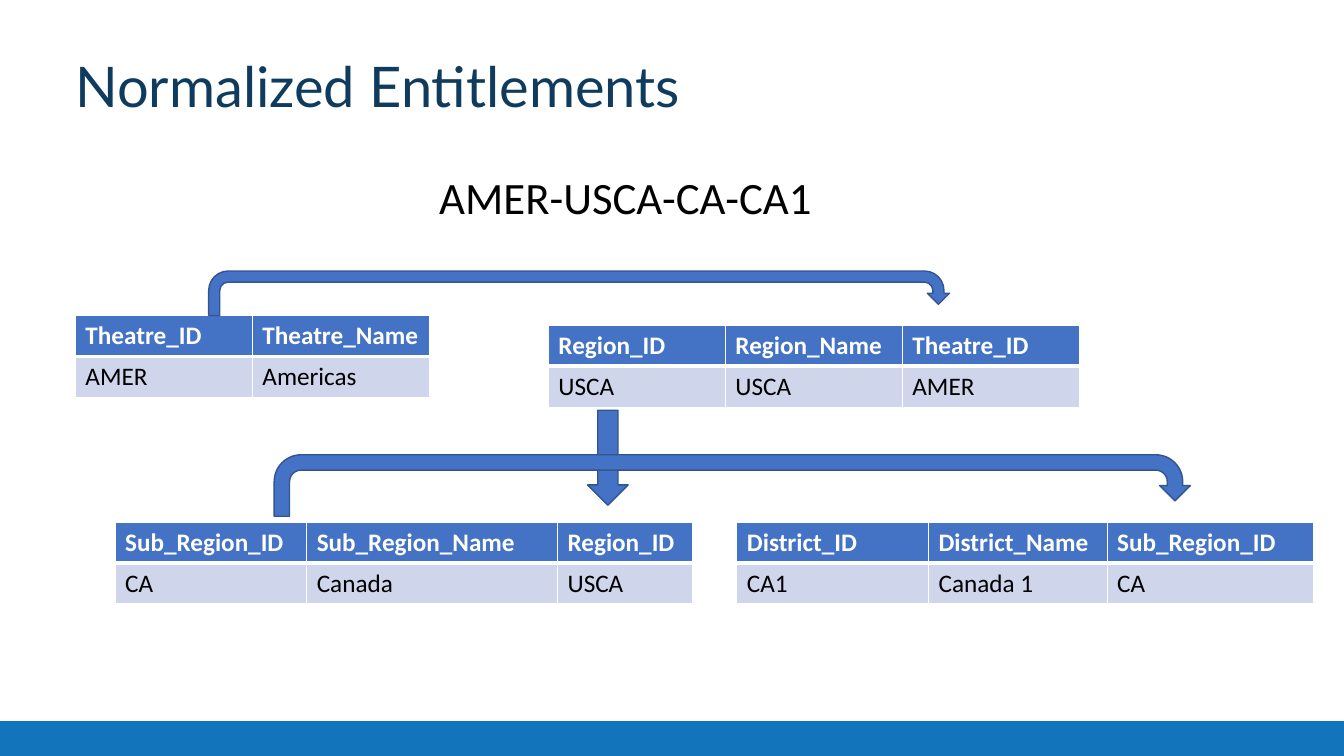
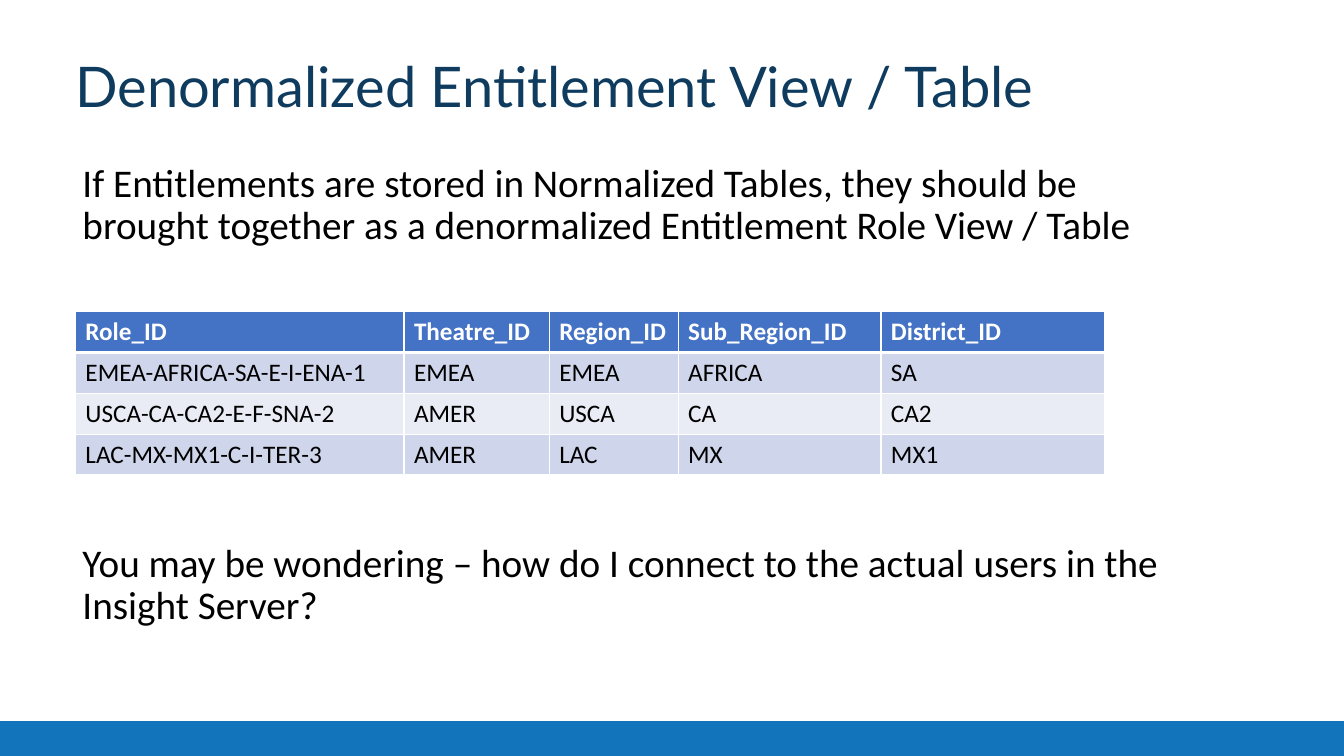
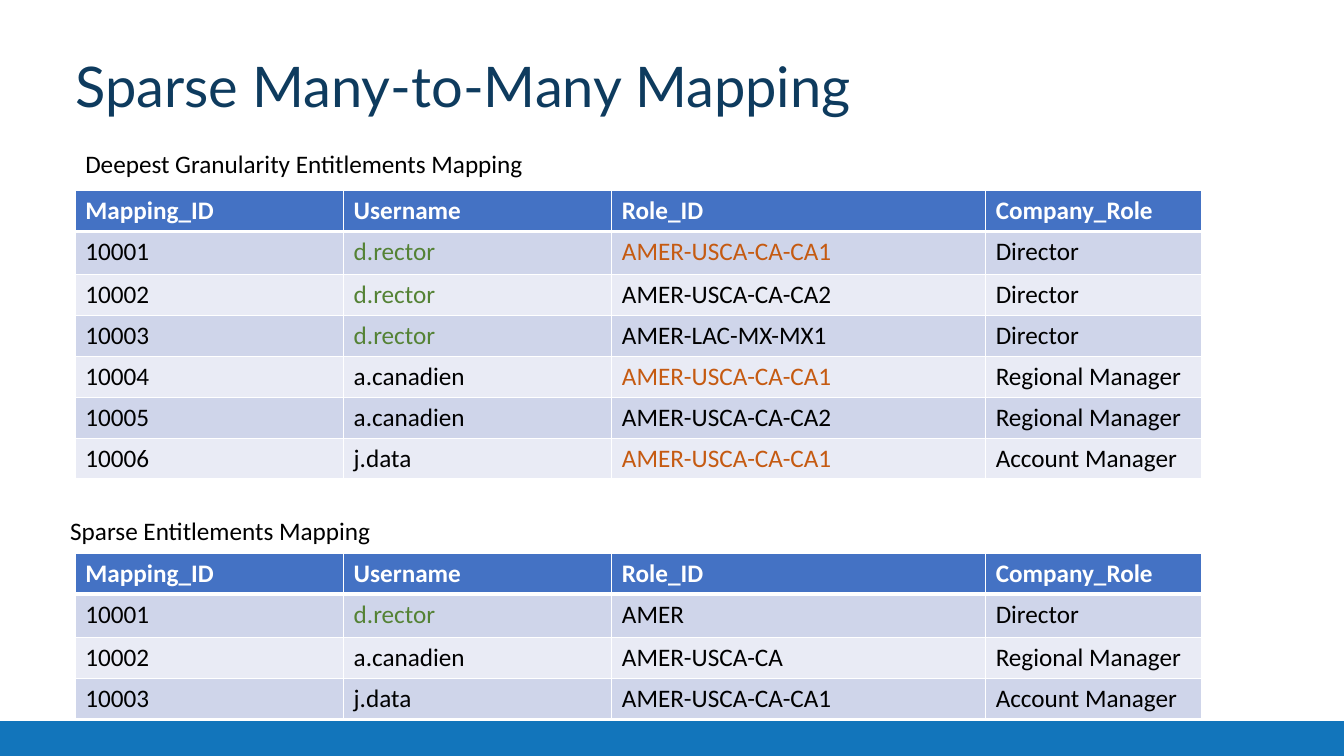
from lxml import etree
from pptx import Presentation
from pptx.dml.color import RGBColor
from pptx.enum.shapes import MSO_SHAPE
from pptx.enum.text import MSO_ANCHOR, MSO_AUTO_SIZE, PP_ALIGN
from pptx.oxml.ns import qn
from pptx.util import Cm, Pt

RECT = MSO_SHAPE.RECTANGLE
UTURN = MSO_SHAPE.U_TURN_ARROW
DOWN = MSO_SHAPE.DOWN_ARROW
TOP = MSO_ANCHOR.TOP
LEFT = PP_ALIGN.LEFT
NO_FIT = MSO_AUTO_SIZE.NONE

WIDTH, HEIGHT = 33.87, 19.05
BAND_HEIGHT = 0.88
MARGIN = 1.9
ROW_HEIGHT = 1.03
FIRST_ROW_HEIGHT = 1.09
COLUMN = 4.46

WHITE, BLACK = "FFFFFF", "000000"
NAVY, BAND_BLUE = "0E3B5E", "1275BB"
BLUE, BLUE_EDGE = "4472C4", "325491"
STRIPES = ("E9EBF5", "CFD5EA")
GREEN, ORANGE = "548235", "C55A11"


def rgb(value):
    return RGBColor.from_string(value)


class Deck:
    """Holds the style and the current slide, and draws each kind of element."""

    def __init__(self):
        self.prs = Presentation()
        self.prs.slide_width = Cm(WIDTH)
        self.prs.slide_height = Cm(HEIGHT)
        self.s = None

    def font(self, p, size, color=BLACK, name="Calibri", bold=False):
        for r in p.runs:
            r.font.size = Pt(size)
            r.font.name = name
            r.font.bold = bold
            r.font.color.rgb = rgb(color)

    def slide(self, title):
        self.s = self.prs.slides.add_slide(self.prs.slide_layouts[5])
        self.shape(RECT, 0, HEIGHT - BAND_HEIGHT, WIDTH, BAND_HEIGHT, BAND_BLUE)
        sp = self.s.shapes.title
        sp.left, sp.top, sp.width, sp.height = Cm(MARGIN), Cm(1.5), Cm(30.07), Cm(1.55)
        tf = sp.text_frame
        tf.text = title
        tf.auto_size = NO_FIT
        tf.vertical_anchor = TOP
        tf.margin_left = tf.margin_top = tf.margin_right = tf.margin_bottom = 0
        p = tf.paragraphs[0]
        p.alignment = LEFT
        p.line_spacing = 0.9
        self.font(p, 40, NAVY, "Lato")

    def shape(self, kind, x, y, w, h, fill=BLUE, line=None):
        sp = self.s.shapes.add_shape(kind, Cm(x), Cm(y), Cm(w), Cm(h))
        sp.shadow.inherit = False
        sp.fill.solid()
        sp.fill.fore_color.rgb = rgb(fill)
        if line:
            sp.line.color.rgb = rgb(line)
            sp.line.width = Pt(1)
        else:
            sp.line.fill.background()

    def arrow(self, kind, x, y, w, h):
        self.shape(kind, x, y, w, h, line=BLUE_EDGE)

    def text(self, x, y, w, h, paragraphs, size, spacing=1, gap=0, indent=0):
        tf = self.s.shapes.add_textbox(Cm(x), Cm(y), Cm(w), Cm(h)).text_frame
        tf.word_wrap = True
        tf.text = "\n".join(paragraphs)
        for i, p in enumerate(tf.paragraphs):
            p.line_spacing = spacing
            if indent:
                p._p.get_or_add_pPr().set("marL", str(Cm(indent)))
            if i:
                p.space_before = Pt(gap)
            self.font(p, size)

    def border(self, cell, side, width):
        ln = etree.SubElement(cell._tc.get_or_add_tcPr(), qn("a:ln" + side), w=str(Pt(width)))
        fill = etree.SubElement(ln, qn("a:solidFill"))
        etree.SubElement(fill, qn("a:srgbClr"), val=WHITE)

    def table(self, x, y, columns, rows, first_height=ROW_HEIGHT, marks=None):
        heights = [ROW_HEIGHT, first_height] + [ROW_HEIGHT] * (len(rows) - 2)
        table = self.s.shapes.add_table(len(rows), len(columns), Cm(x), Cm(y),
                                        Cm(sum(columns)), Cm(sum(heights))).table
        for column, width in zip(table.columns, columns):
            column.width = Cm(width)
        for i, values in enumerate(rows):
            table.rows[i].height = Cm(heights[i])
            for j, value in enumerate(values):
                cell = table.cell(i, j)
                cell.text = value
                for side in "LRTB":
                    self.border(cell, side, 3 if (i, side) in ((0, "B"), (1, "T")) else 1)
                cell.fill.solid()
                cell.fill.fore_color.rgb = rgb(STRIPES[i % 2] if i else BLUE)
                color = (marks or {}).get(value, BLACK) if i else WHITE
                self.font(cell.text_frame.paragraphs[0], 18, color, bold=i == 0)


def normalized(deck):
    deck.slide("Normalized Entitlements")
    deck.table(MARGIN, 7.95, [COLUMN] * 2, [
        ("Theatre_ID", "Theatre_Name"),
        ("AMER", "Americas")])
    deck.table(13.82, 8.2, [COLUMN] * 3, [
        ("Region_ID", "Region_Name", "Theatre_ID"),
        ("USCA", "USCA", "AMER")])
    deck.table(2.9, 13.16, [4.83, 6.32, 3.4], [
        ("Sub_Region_ID", "Sub_Region_Name", "Region_ID"),
        ("CA", "Canada", "USCA")])
    deck.table(18.57, 13.16, [4.83, 4.5, 5.21], [
        ("District_ID", "District_Name", "Sub_Region_ID"),
        ("CA1", "Canada 1", "CA")])
    deck.arrow(UTURN, 5.26, 6.83, 18.67, 1.12)
    deck.arrow(DOWN, 14.81, 10.34, 1.02, 2.39)
    deck.arrow(UTURN, 6.91, 11.46, 23.09, 1.55)
    deck.text(10.82, 4.14, 22, 1.63, ["AMER-USCA-CA-CA1"], 32)


def denormalized(deck):
    deck.slide("Denormalized Entitlement View / Table")
    deck.text(1.19, 3.99, 29.57, 13.64, [
        "If Entitlements are stored in Normalized Tables, they should be brought together "
        "as a denormalized Entitlement Role View / Table",
        "You may be wondering – how do I connect to the actual users in the Insight Server?",
    ], 28, spacing=0.9, gap=211, indent=0.64)
    deck.table(MARGIN, 7.85, [8.28, 3.66, 3.25, 5.11, 5.64], [
        ("Role_ID", "Theatre_ID", "Region_ID", "Sub_Region_ID", "District_ID"),
        ("EMEA-AFRICA-SA-E-I-ENA-1", "EMEA", "EMEA", "AFRICA", "SA"),
        ("USCA-CA-CA2-E-F-SNA-2", "AMER", "USCA", "CA", "CA2"),
        ("LAC-MX-MX1-C-I-TER-3", "AMER", "LAC", "MX", "MX1")])


def mapping(deck):
    header = ("Mapping_ID", "Username", "Role_ID", "Company_Role")
    columns = [6.76, 6.76, 9.42, 5.44]
    deck.slide("Sparse Many-to-Many Mapping")
    deck.table(MARGIN, 4.8, columns, [
        header,
        ("10001", "d.rector", "AMER-USCA-CA-CA1", "Director"),
        ("10002", "d.rector", "AMER-USCA-CA-CA2", "Director"),
        ("10003", "d.rector", "AMER-LAC-MX-MX1", "Director"),
        ("10004", "a.canadien", "AMER-USCA-CA-CA1", "Regional Manager"),
        ("10005", "a.canadien", "AMER-USCA-CA-CA2", "Regional Manager"),
        ("10006", "j.data", "AMER-USCA-CA-CA1", "Account Manager"),
    ], FIRST_ROW_HEIGHT, {"d.rector": GREEN, "AMER-USCA-CA-CA1": ORANGE})
    deck.text(MARGIN, 3.61, 12, 1.02, ["Deepest Granularity Entitlements Mapping"], 18)
    deck.text(1.52, 12.85, 12, 1.02, ["Sparse Entitlements Mapping"], 18)
    deck.table(MARGIN, 13.94, columns, [
        header,
        ("10001", "d.rector", "AMER", "Director"),
        ("10002", "a.canadien", "AMER-USCA-CA", "Regional Manager"),
        ("10003", "j.data", "AMER-USCA-CA-CA1", "Account Manager"),
    ], FIRST_ROW_HEIGHT, {"d.rector": GREEN})


def main():
    deck = Deck()
    normalized(deck)
    denormalized(deck)
    mapping(deck)
    deck.prs.save("out.pptx")


if __name__ == "__main__":
    main()
